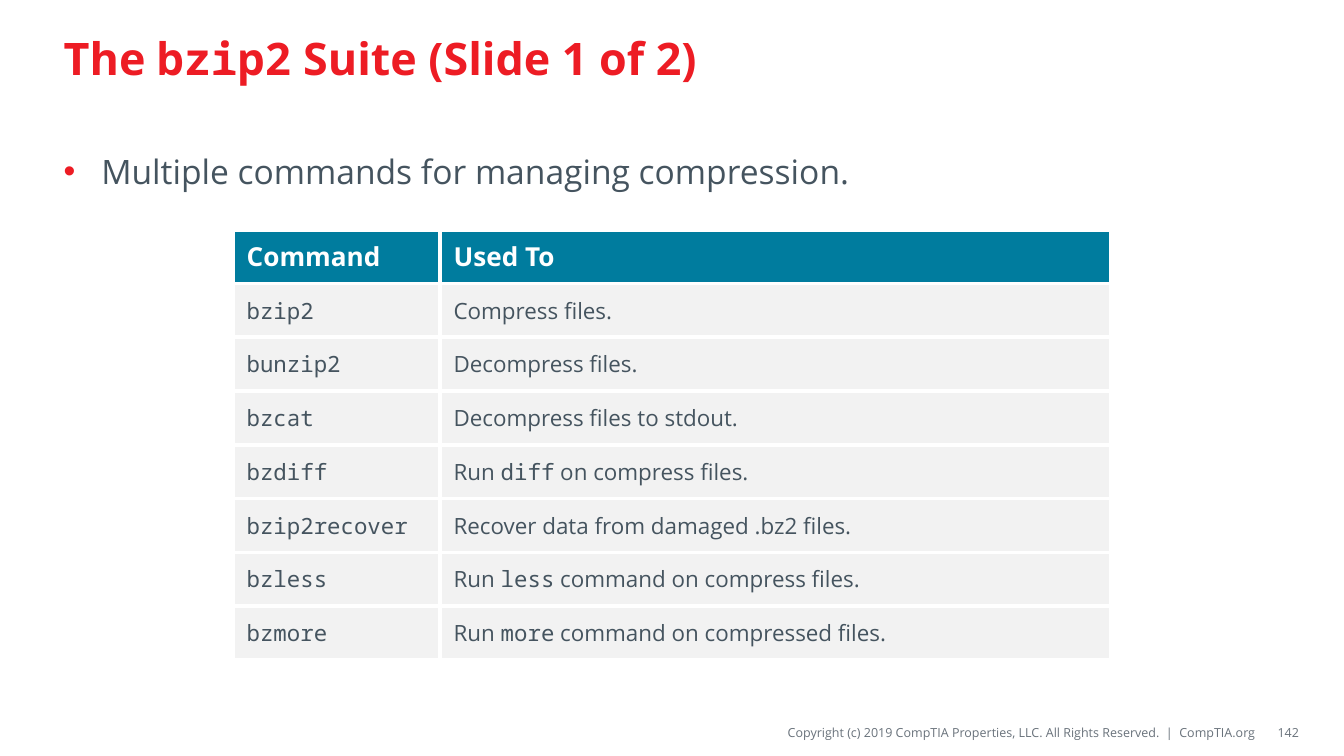
"""Build the slide on the bzip2 suite of compression commands."""
from lxml.etree import SubElement
from pptx import Presentation
from pptx.dml.color import RGBColor as RGB
from pptx.enum.text import MSO_ANCHOR as ANCHOR, PP_ALIGN as ALIGN
from pptx.oxml.ns import qn
from pptx.util import Pt

TITLE = "The `bzip2` Suite (Slide 1 of 2)"
BULLET = "Multiple commands for managing compression."
COPYRIGHT = ("Copyright (c) 2019 CompTIA Properties, LLC. "
             "All Rights Reserved.  |  CompTIA.org")
PAGE = "142"
ROWS = [
    ("Command", "Used To"),
    ("`bzip2`", "Compress files."),
    ("`bunzip2`", "Decompress files."),
    ("`bzcat`", "Decompress files to stdout."),
    ("`bzdiff`", "Run `diff` on compress files."),
    ("`bzip2recover`", "Recover data from damaged .bz2 files."),
    ("`bzless`", "Run `less` command on compress files."),
    ("`bzmore`", "Run `more` command on compressed files."),
]
COLORS = {"red": "ED1C24", "text": "45545F", "footer": "69727B",
          "teal": "007C9E", "band": "F2F2F2", "white": "FFFFFF"}
SANS, MONO = "Open Sans", "Noto Sans Mono"
PX = 4572
COL_WIDTHS = (308, 998)
ROW_HEIGHT = 80


def px(*values):
    return [v * PX for v in values]


def write(p, text, size, color, bold=False):
    """Fill a paragraph, setting the parts between backticks in mono."""
    for i, part in enumerate(text.split("`")):
        if part:
            r = p.add_run()
            r.text = part
            r.font.name = MONO if i % 2 else SANS
            r.font.size = Pt(size)
            r.font.bold = bold
            r.font.color.rgb = RGB.from_string(COLORS[color])


def add_text(s, box, text, size, color, bold=False, anchor=ANCHOR.MIDDLE,
             align=ALIGN.LEFT, insets=(20, 10, 20, 10)):
    tf = s.shapes.add_textbox(*px(*box)).text_frame
    tf.word_wrap = True
    tf.vertical_anchor = anchor
    (tf.margin_left, tf.margin_top,
     tf.margin_right, tf.margin_bottom) = px(*insets)
    p = tf.paragraphs[0]
    p.alignment = align
    write(p, text, size, color, bold)
    return p


def add_bullet(p, indent, color):
    pPr = p._p.get_or_add_pPr()
    pPr.set("marL", str(indent * PX))
    pPr.set("indent", str(-indent * PX))
    clr = SubElement(pPr, qn("a:buClr"))
    SubElement(clr, qn("a:srgbClr"), val=COLORS[color])
    SubElement(pPr, qn("a:buFont"), typeface="Arial")
    SubElement(pPr, qn("a:buChar"), char="•")


def add_borders(cell, color, width):
    tcPr = cell._tc.get_or_add_tcPr()
    for side in ("lnL", "lnR", "lnT", "lnB"):
        ln = SubElement(tcPr, qn("a:" + side), w=str(Pt(width)))
        fill = SubElement(ln, qn("a:solidFill"))
        SubElement(fill, qn("a:srgbClr"), val=COLORS[color])


def add_commands(s, left, top):
    size = (sum(COL_WIDTHS), ROW_HEIGHT * len(ROWS))
    table = s.shapes.add_table(len(ROWS), len(COL_WIDTHS),
                               *px(left, top, *size)).table
    for col, width in zip(table.columns, COL_WIDTHS):
        col.width = width * PX
    for i, row in enumerate(ROWS):
        fill, look = (("band", (12, "text")) if i else
                      ("teal", (14, "white", True)))
        for j, text in enumerate(row):
            cell = table.cell(i, j)
            add_borders(cell, "white", 2.25)
            cell.fill.solid()
            cell.fill.fore_color.rgb = RGB.from_string(COLORS[fill])
            cell.vertical_anchor = ANCHOR.MIDDLE
            write(cell.text_frame.paragraphs[0], text, *look)


def main():
    prs = Presentation()
    prs.slide_width, prs.slide_height = px(2000, 1125)
    s = prs.slides.add_slide(prs.slide_layouts[6])
    add_text(s, (776, 1068, 1094, 44), COPYRIGHT, 6.75, "footer",
             align=ALIGN.RIGHT, insets=(0, 8, 0, 8))
    add_text(s, (75, 16, 1850, 138), TITLE, 24, "red", bold=True)
    add_text(s, (1875, 1068, 58, 44), PAGE, 6.75, "footer",
             align=ALIGN.RIGHT, insets=(20, 10, 0, 10))
    p = add_text(s, (75, 215, 1850, 780), BULLET, 18, "text",
                 anchor=ANCHOR.TOP)
    add_bullet(p, 56, "red")
    add_commands(s, 347, 342)
    prs.save("out.pptx")


if __name__ == "__main__":
    main()
